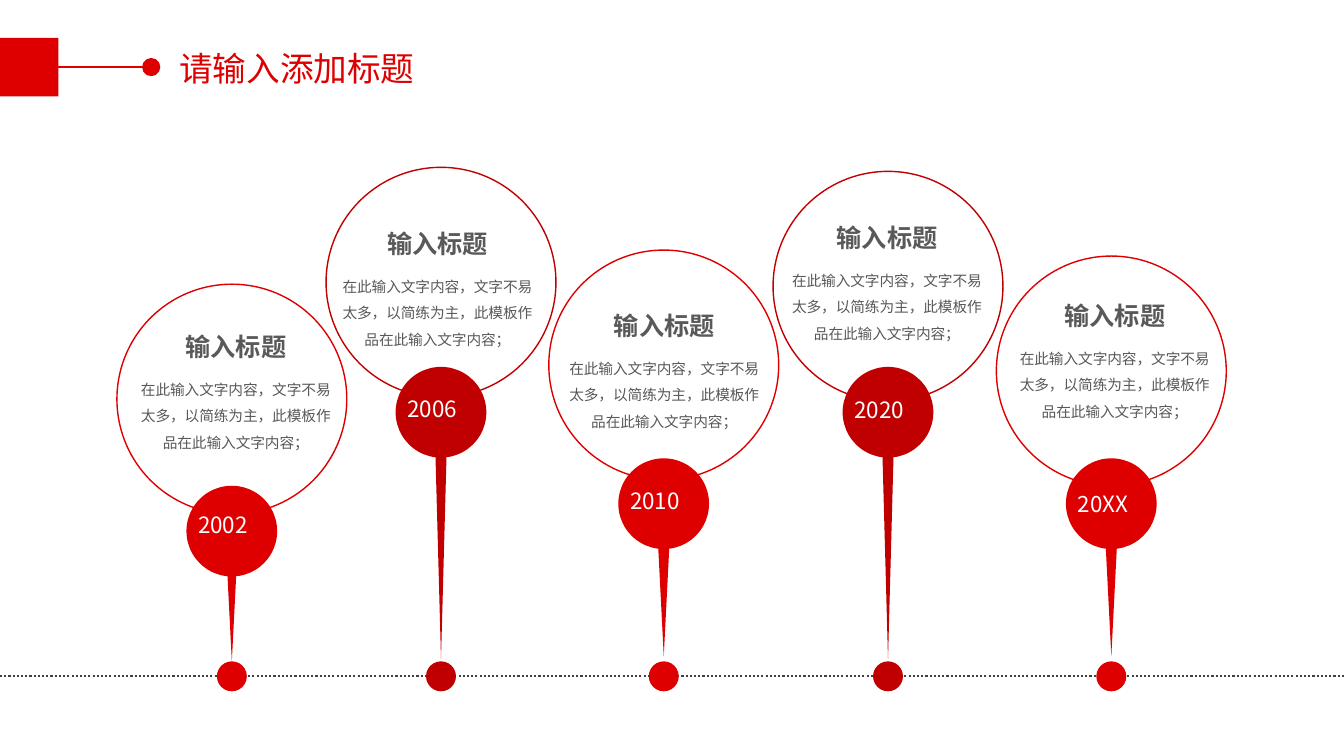
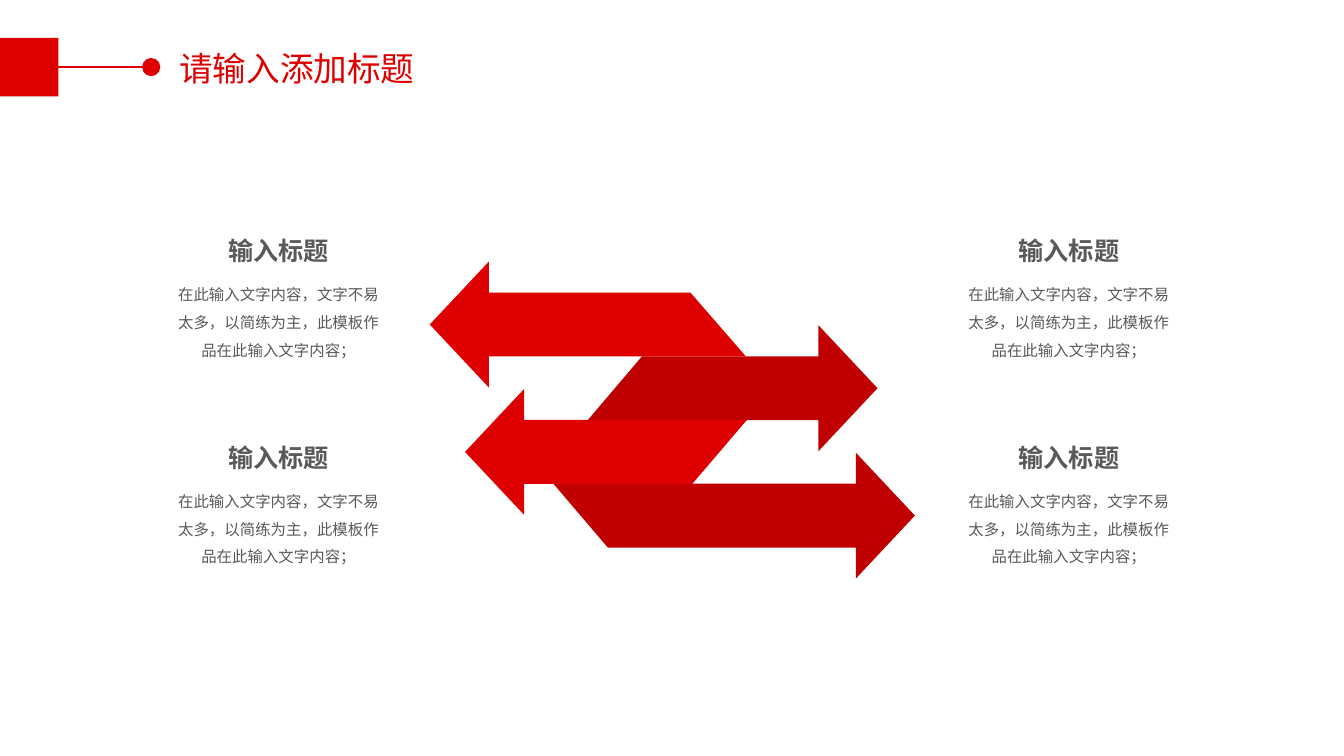
"""Builds two red slides: a timeline of pins and a set of woven arrows."""
import lxml.etree
import pptx
import pptx.dml.color
import pptx.enum.dml
import pptx.enum.shapes
import pptx.enum.text
import pptx.oxml.ns
import pptx.util

Pt = pptx.util.Pt
RED = pptx.dml.color.RGBColor(0xDE, 0x00, 0x00)
DARK = pptx.dml.color.RGBColor(0xC0, 0x00, 0x00)
GREY = pptx.dml.color.RGBColor(0x59, 0x59, 0x59)
COAL = pptx.dml.color.RGBColor(0x40, 0x40, 0x40)
WHITE = pptx.dml.color.RGBColor(0xFF, 0xFF, 0xFF)
FONT = "Noto Sans CJK SC"
KIND = pptx.enum.shapes.MSO_SHAPE
ALIGN = pptx.enum.text.PP_ALIGN
WIDE, HIGH = 960, 540

HEADER = "请输入添加标题"
TITLE = "输入标题"
BODY = "在此输入文字内容，文字不易太多，以简练为主，此模板作品在此输入文字内容；"

# year, colour, centre, ring top, ball top, spike top and height, year top, caption centre and top
PINS = [
    ("2002", RED, 165.6, 203, 347, 394.6, 77.8, 361.4, 168.5, 233.3),
    ("2006", DARK, 315, 119.5, 262.1, 325.4, 145.4, 278.6, 312.5, 159.8),
    ("2010", RED, 474.1, 178.6, 327.4, 391, 77.8, 344.2, 474.5, 218.2),
    ("2020", DARK, 634.3, 122.4, 262.1, 325.4, 145.4, 279.4, 633.6, 155.5),
    ("20XX", RED, 793.8, 182.9, 327.4, 391, 77.8, 346.3, 796.3, 211),
]
RING, BALL, DOT, SPIKE, AXIS = 164.2, 64.8, 21.4, 7.9, 483.1

# colour, direction, head base, tail at bar top, tail at bar bottom
ARROWS = [
    (DARK, 1, 611.3, 395.3, 434.2),
    (RED, -1, 374.4, 533.5, 494.6),
    (DARK, 1, 584.6, 458.6, 419.8),
    (RED, -1, 349.2, 493.2, 532.8),
]
LOWEST, STEP, HALF, LAP, TIP, WING = 368.3, 45.5, 22.8, 4.3, 42.2, 45
COLUMNS, ROWS = (199, 763.5), (164.9, 312.5)


def paint(shape, fill=None, line=None):
    shape.shadow.inherit = False
    if fill is None:
        shape.fill.background()
    else:
        shape.fill.solid()
        shape.fill.fore_color.rgb = fill
    if line is None:
        shape.line.fill.background()
    else:
        shape.line.color.rgb = line
        shape.line.width = Pt(1)


def add(slide, kind, x, y, w, h, fill=None, line=None):
    shape = slide.shapes.add_shape(kind, Pt(x), Pt(y), Pt(w), Pt(h))
    paint(shape, fill, line)
    return shape


def disc(slide, mid, top, size, fill=None, line=None):
    add(slide, KIND.OVAL, mid - size / 2, top, size, size, fill, line)


def rule(slide, y, end, color, width):
    line = slide.shapes.add_connector(
        pptx.enum.shapes.MSO_CONNECTOR.STRAIGHT, Pt(0), Pt(y), Pt(end), Pt(y))
    line.line.color.rgb = color
    line.line.width = Pt(width)
    lxml.etree.SubElement(line._element.spPr, pptx.oxml.ns.qn("a:effectLst"))
    return line


def write(slide, text, x, y, w, h, size, color, align=None, wrap=True, bold=None, gap=None):
    frame = slide.shapes.add_textbox(Pt(x), Pt(y), Pt(w), Pt(h)).text_frame
    frame.word_wrap = wrap
    frame.auto_size = pptx.enum.text.MSO_AUTO_SIZE.SHAPE_TO_FIT_TEXT
    frame.text = text
    para = frame.paragraphs[0]
    para.alignment = align
    para.line_spacing = gap
    run = para.runs[0]
    run.font.size = Pt(size)
    run.font.bold = bold
    run.font.color.rgb = color
    run.font.name = FONT
    east = lxml.etree.SubElement(run._r.get_or_add_rPr(), pptx.oxml.ns.qn("a:ea"))
    east.set("typeface", FONT)


def caption(slide, mid, top, size, w, h):
    write(slide, BODY, mid - w / 2, top + 28.8, w, h, size, GREY, ALIGN.CENTER, gap=1.5)
    write(slide, TITLE, mid - 44.6, top, 89.2, 28.8, 18, GREY, ALIGN.CENTER, False, True)


def outline(slide, points, fill):
    spots = [(Pt(x), Pt(y)) for x, y in points]
    pen = slide.shapes.build_freeform(*spots[0])
    pen.add_line_segments(spots[1:], close=True)
    paint(pen.convert_to_shape(), fill)


def begin(deck):
    slide = deck.slides.add_slide(deck.slide_layouts[6])
    rule(slide, 47.9, 106.6, RED, 1)
    disc(slide, 108, 41.4, 13, RED)
    write(slide, HEADER, 121, 31, 239, 36.4, 24, RED, ALIGN.JUSTIFY)
    add(slide, KIND.RECTANGLE, 0, 27.1, 41.8, 41.8, RED)
    return slide


def timeline(slide):
    for _, color, mid, ring, *_ in PINS:
        disc(slide, mid, ring, RING, line=color)
    axis = rule(slide, AXIS, WIDE, COAL, 1.5)
    axis.line.dash_style = pptx.enum.dml.MSO_LINE.ROUND_DOT
    for year, color, mid, _, ball, top, tall, label, center, head in PINS:
        disc(slide, mid, AXIS - DOT / 2, DOT, color)
        spike = add(slide, KIND.ISOSCELES_TRIANGLE, mid - SPIKE / 2, top, SPIKE, tall, color)
        spike.rotation = 180
        disc(slide, mid, ball, BALL, color)
        write(slide, year, mid - 31.1, label, 52.6, 26.6, 16, WHITE, wrap=False)
        caption(slide, center, head, 10.5, 159.8, 64.8)


def weave(slide):
    for i, (color, way, base, upper, lower) in enumerate(ARROWS):
        mid = LOWEST - i * STEP
        top, foot, end = mid - HALF, mid + HALF, base + way * LAP
        outline(slide, [(end, top), (upper, top), (lower, foot), (end, foot)], color)
        outline(slide, [(base + way * TIP, mid), (base, mid - WING), (base, mid + WING)], color)
    for mid in COLUMNS:
        for top in ROWS:
            caption(slide, mid, top, 11, 166.3, 67)


deck = pptx.Presentation()
deck.slide_width, deck.slide_height = Pt(WIDE), Pt(HIGH)
timeline(begin(deck))
weave(begin(deck))
deck.save("out.pptx")
